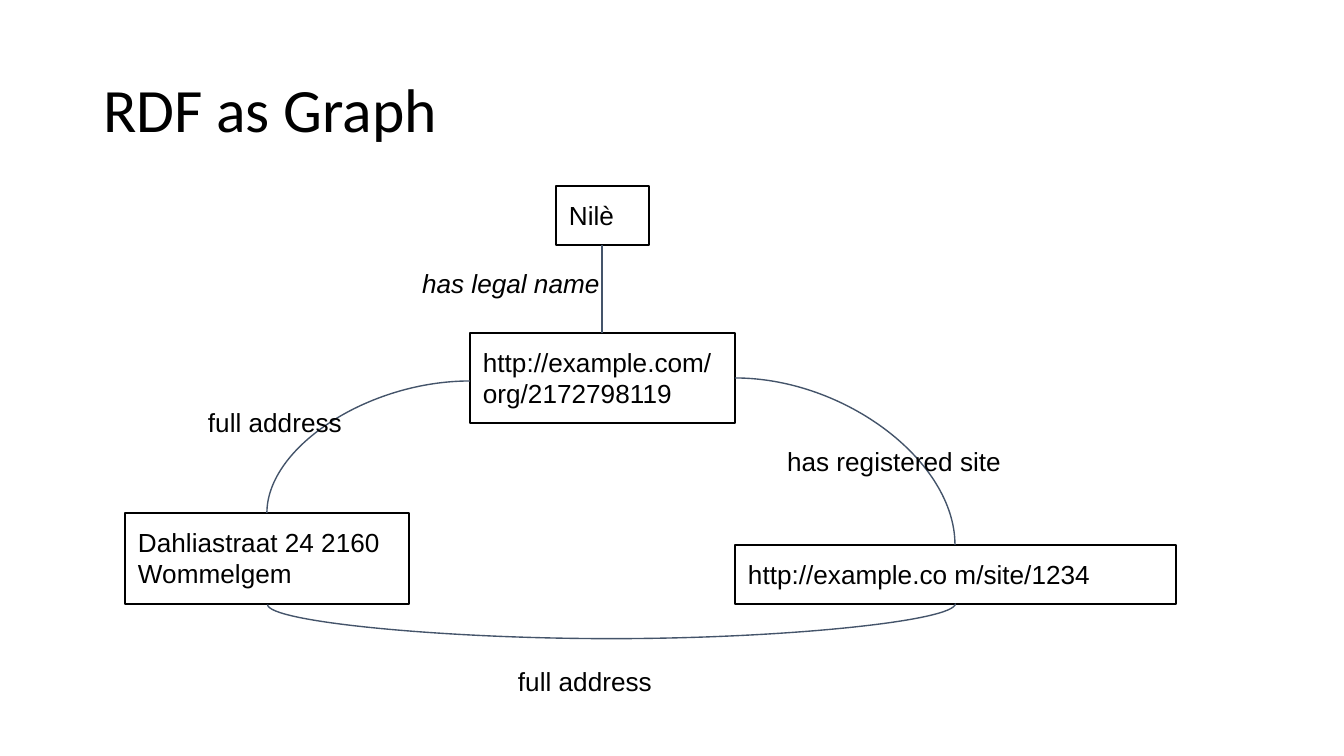
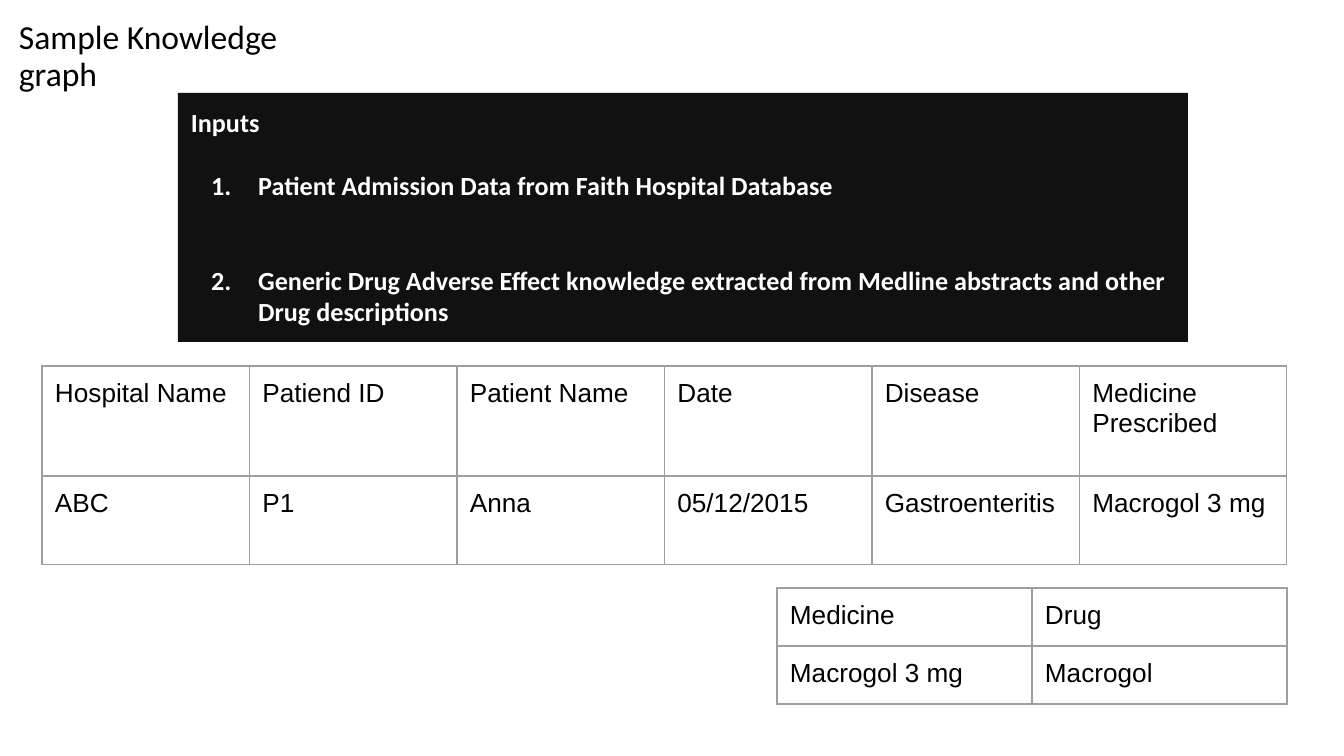
from lxml import etree
from pptx import Presentation
from pptx import util as u
from pptx.dml import color
from pptx.enum import shapes, text
from pptx.oxml import ns

hue = color.RGBColor.from_string
INK, PAPER, EDGE, GRID, PANEL = "000000", "FFFFFF", "44546A", "9E9E9E", "111111"
HEAD, BODY = "Calibri", "Arial"


def px(*sizes):
    return [u.Emu(round(size * 914400 / 134.4)) for size in sizes]


def put(frame, words, size=14, face=BODY, tint=INK, bold=False, slant=False, pad=(13, 13)):
    frame.text = words
    frame.word_wrap = True
    frame.margin_left = frame.margin_right = px(pad[0])[0]
    frame.margin_top = frame.margin_bottom = px(pad[1])[0]
    for para in frame.paragraphs:
        para.alignment = text.PP_ALIGN.LEFT
        for run in para.runs:
            font = run.font
            font.name, font.size = face, u.Pt(size)
            font.bold, font.italic = bold, slant
            font.color.rgb = hue(tint)


deck = Presentation()
deck.slide_width, deck.slide_height = px(1344, 756)

pages = []
for words, size, spot in [
    ("RDF as Graph", 33, (93, 40, 1158, 146)),
    ("Sample Knowledge graph", 18, (9, -28, 296, 170)),
]:
    page = deck.slides.add_slide(deck.slide_layouts[6])
    frame = page.shapes.add_textbox(*px(*spot)).text_frame
    put(frame, words, size, HEAD, pad=(10, 5))
    frame.vertical_anchor = text.MSO_ANCHOR.MIDDLE
    frame.paragraphs[0].line_spacing = 0.9
    pages.append(page)
graph, sample = pages

nodes = {}
for name, words, spot in [
    ("name", "Nilè", (556, 186, 93, 59)),
    ("org", "http://example.com/ org/2172798119", (470, 333, 265, 90)),
    ("site", "http://example.co m/site/1234", (735, 545, 441, 59)),
    ("home", "Dahliastraat 24 2160 Wommelgem", (125, 513, 284, 91)),
]:
    node = graph.shapes.add_shape(shapes.MSO_SHAPE.RECTANGLE, *px(*spot))
    node.shadow.inherit = False
    node.fill.background()
    node.line.color.rgb = hue(INK)
    node.line.width = u.Pt(0.75)
    put(node.text_frame, words)
    node.text_frame.vertical_anchor = text.MSO_ANCHOR.TOP
    nodes[name] = node

links = []
for kind, ends in [
    ("curvedConnector2", (470, 381, 267, 513)),
    ("curvedConnector2", (735, 378, 955, 545)),
    ("line", (602, 333, 602, 245)),
    ("curvedConnector3", (955, 604, 267, 604)),
]:
    link = graph.shapes.add_connector(shapes.MSO_CONNECTOR.CURVE, *px(*ends))
    link.line.color.rgb = hue(EDGE)
    link.line.width = u.Pt(0.75)
    part = link._element.spPr
    part.find(ns.qn("a:prstGeom")).set("prst", kind)
    etree.SubElement(part, ns.qn("a:effectLst"))
    links.append(link)

loop = links[-1]
loop.begin_connect(nodes["site"], 2)
loop.end_connect(nodes["home"], 2)
loop.left, loop.top, loop.width, loop.height = px(611, 260, 1, 688)
turn = loop._element.spPr.find(ns.qn("a:xfrm"))
turn.attrib.pop("flipH", None)
turn.attrib.pop("flipV", None)
turn.set("rot", "5400000")
bend = loop._element.spPr.find(ns.qn("a:prstGeom")).find(ns.qn("a:avLst"))
etree.SubElement(bend, ns.qn("a:gd"), name="adj1", fmla="val 3500000")

for words, spot, slant in [
    ("has legal name", (409, 254, 235, 59), True),
    ("has registered site", (774, 432, 284, 59), False),
    ("full address", (195, 393, 194, 59), False),
    ("full address", (505, 652, 194, 59), False),
]:
    label = graph.shapes.add_textbox(*px(*spot))
    put(label.text_frame, words, slant=slant)

panel = sample.shapes.add_shape(shapes.MSO_SHAPE.RECTANGLE, *px(178, 93, 1010, 249))
panel.shadow.inherit = False
panel.fill.solid()
panel.fill.fore_color.rgb = hue(PANEL)
panel.line.fill.background()
lines = [
    "Inputs",
    "Patient Admission Data from Faith Hospital Database",
    "Generic Drug Adverse Effect knowledge extracted from Medline abstracts and other Drug descriptions",
]
put(panel.text_frame, "\n".join(lines), face=HEAD, tint=PAPER, bold=True)
panel.text_frame.vertical_anchor = text.MSO_ANCHOR.TOP
for para, gap in zip(panel.text_frame.paragraphs[1:], (17, 34)):
    para.space_before = u.Pt(gap)
    props = para._p.get_or_add_pPr()
    props.set("marL", str(u.Inches(0.5)))
    props.set("indent", str(u.Inches(-0.35)))
    shade = etree.SubElement(props, ns.qn("a:buClr"))
    etree.SubElement(shade, ns.qn("a:srgbClr"), val=PAPER)
    etree.SubElement(props, ns.qn("a:buFont"), typeface=HEAD)
    etree.SubElement(props, ns.qn("a:buAutoNum"), type="arabicPeriod")

for spot, highs, rows in [
    ((42, 366, 1245, 199), (110, 89), [
        ("Hospital Name", "Patiend ID", "Patient Name", "Date", "Disease", "Medicine Prescribed"),
        ("ABC", "P1", "Anna", "05/12/2015", "Gastroenteritis", "Macrogol 3 mg"),
    ]),
    ((777, 588, 510, 116), (58, 58), [
        ("Medicine", "Drug"),
        ("Macrogol 3 mg", "Macrogol"),
    ]),
]:
    table = sample.shapes.add_table(len(rows), len(rows[0]), *px(*spot)).table
    table.first_row = table.horz_banding = False
    for row, high, words in zip(table.rows, px(*highs), rows):
        row.height = high
        for cell, word in zip(row.cells, words):
            put(cell.text_frame, word)
            cell.margin_left, cell.margin_right, cell.margin_top, cell.margin_bottom = px(13, 13, 13, 13)
            props = cell._tc.get_or_add_tcPr()
            for side in ("lnL", "lnR", "lnT", "lnB"):
                rule = etree.SubElement(props, ns.qn("a:" + side), w=str(u.Pt(0.75)))
                ink = etree.SubElement(rule, ns.qn("a:solidFill"))
                etree.SubElement(ink, ns.qn("a:srgbClr"), val=GRID)
            cell.fill.background()

deck.save("out.pptx")
